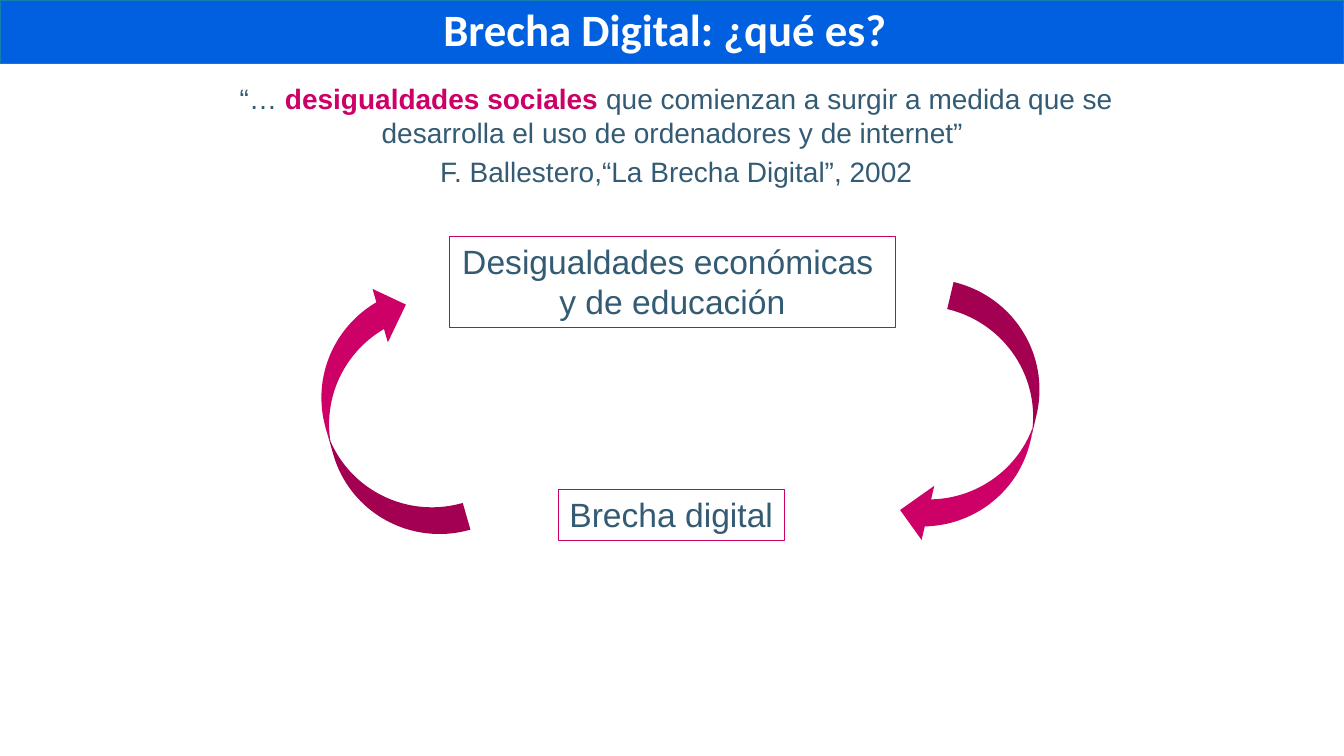
from pptx import Presentation
from pptx.dml.color import RGBColor
from pptx.enum.shapes import MSO_SHAPE as Shape
from pptx.enum.text import MSO_ANCHOR as Anchor, PP_ALIGN as Align
from pptx.util import Cm, Pt

BLUE = RGBColor(0x00, 0x60, 0xDF)
TEAL = RGBColor(0x15, 0x80, 0xA9)
SLATE = RGBColor(0x33, 0x5B, 0x74)
MAGENTA = RGBColor(0xCC, 0x00, 0x66)
WHITE = RGBColor(0xFF, 0xFF, 0xFF)

SLIDE_WIDTH = 33.87
TITLE_HEIGHT = 1.6
ARROW_SIZE = (2.8, 6.6)

TITLE = {"name": "Calibri", "size": Pt(32), "bold": True, "color": WHITE}
QUOTE = {"name": "Arial", "size": Pt(20), "bold": False, "color": SLATE}
EMPHASIS = {**QUOTE, "bold": True, "color": MAGENTA}
LABEL = {**QUOTE, "size": Pt(24)}


def set_format(font, values):
    for name, value in values.items():
        if name == "color":
            font.color.rgb = value
        else:
            setattr(font, name, value)


def write_paragraphs(frame, paragraphs, **layout):
    """Write centred paragraphs, each a list of (text, format) spans."""
    for index, spans in enumerate(paragraphs):
        para = frame.add_paragraph() if index else frame.paragraphs[0]
        para.alignment = Align.CENTER
        for name, value in layout.items():
            if index or name != "space_before":
                setattr(para, name, value)
        for text, values in spans:
            span = para.add_run()
            span.text = text
            set_format(span.font, values)


def add_shape(page, kind, place, fill=None, line=None, line_width=0.75):
    shape = page.shapes.add_shape(kind, *map(Cm, place))
    shape.shadow.inherit = False
    for part, color in ((shape.fill, fill), (shape.line.fill, line)):
        if color is None:
            part.background()
        else:
            part.solid()
            part.fore_color.rgb = color
    if line is not None:
        shape.line.width = Pt(line_width)
    return shape


def add_text(page, place, paragraphs, anchor=Anchor.TOP, **layout):
    box = page.shapes.add_textbox(*map(Cm, place))
    box.text_frame.word_wrap = True
    box.text_frame.vertical_anchor = anchor
    write_paragraphs(box.text_frame, paragraphs, **layout)
    return box


def add_label(page, place, *lines):
    frame = add_shape(page, Shape.RECTANGLE, place, line=MAGENTA).text_frame
    frame.word_wrap = False
    frame.vertical_anchor = Anchor.TOP
    write_paragraphs(frame, [[(line, LABEL)] for line in lines])


def add_cycle_arrow(page, left, top, rotation):
    arrow = add_shape(page, Shape.CURVED_LEFT_ARROW,
                      (left, top, *ARROW_SIZE), fill=MAGENTA)
    arrow.rotation = rotation


def main():
    deck = Presentation()
    deck.slide_width, deck.slide_height = Cm(SLIDE_WIDTH), Cm(19.05)
    page = deck.slides.add_slide(deck.slide_layouts[6])

    add_shape(page, Shape.RECTANGLE, (0, 0, SLIDE_WIDTH, TITLE_HEIGHT),
              fill=BLUE, line=TEAL, line_width=1)
    add_text(page, (2.03, 0, 29.46, TITLE_HEIGHT),
             [[("Brecha Digital: ¿qué es?", TITLE)]],
             anchor=Anchor.MIDDLE, line_spacing=0.9)

    quote = add_text(page, (4.93, 1.93, 24, 3), [
        [("“… ", QUOTE),
         ("desigualdades sociales ", EMPHASIS),
         ("que comienzan a surgir a medida que se desarrolla "
          "el uso de ordenadores y de internet” ", QUOTE)],
        [("F. Ballestero,“La Brecha Digital”, 2002", QUOTE)],
    ], space_before=Pt(4))
    quote.text_frame.margin_left = Cm(0.48)

    add_cycle_arrow(page, 23.24, 7.34, 13.2)
    add_label(page, (11.33, 5.95, 11.23, 2.31),
              "Desigualdades económicas ", "y de educación")
    add_label(page, (14.07, 12.33, 5.69, 1.28), "Brecha digital")
    add_cycle_arrow(page, 8.2, 7.26, 164)

    deck.save("out.pptx")


if __name__ == "__main__":
    main()
